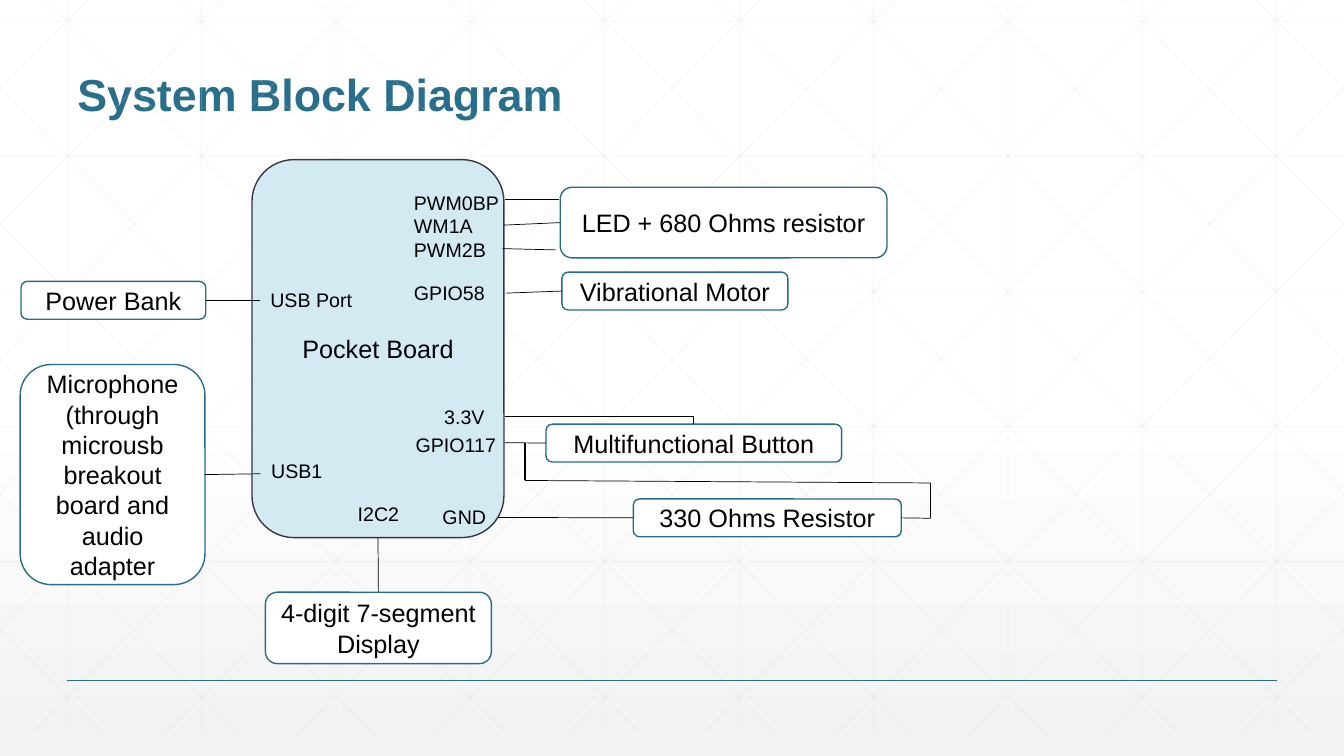
"""Build the system block diagram slide on a grid of 160 columns by 90 rows."""
import dataclasses
import typing

import pptx
import pptx.dml.color
import pptx.enum.shapes
import pptx.enum.text
import pptx.oxml.ns
import pptx.oxml.xmlchemy
import pptx.util
import lxml.etree

COLS, ROWS = 160, 90
CELL = pptx.util.Inches(1 / 12)
TOP, END = -2.5, 87.5
PITCH, RUN = 16, 89.5
FONT = "Arial"
HUES = {
    "teal": "276F8B", "edge": "266D8A", "navy": "373545", "sky": "D4EAF3",
    "white": "FFFFFF", "mist": "F2F2F2", "mesh": "D9D9D9", "black": "000000",
}
ALIGN = pptx.enum.text.PP_ALIGN
ANCHOR = pptx.enum.text.MSO_ANCHOR
KIND = pptx.enum.shapes.MSO_CONNECTOR
Point = tuple[float, float]


@dataclasses.dataclass
class Box:
    key: str
    text: str
    area: tuple[float, float, float, float]
    fill: str = "white"
    edge: str = "edge"


@dataclasses.dataclass
class Pin:
    text: str
    left: float
    top: float
    high: float = 4.1
    mid: bool = False


@dataclasses.dataclass
class Wire:
    start: Point
    end: Point
    width: float = 0.5
    first: typing.Optional[tuple[str, int]] = None
    last: typing.Optional[tuple[str, int]] = None
    bent: bool = False


BOXES = [
    Box("board", "Pocket Board", (30, 19, 30, 45), "sky", "navy"),
    Box("led", "LED + 680 Ohms resistor", (66.7, 22.3, 38.9, 8.4)),
    Box("power", "Power Bank", (2.5, 33.5, 22, 4.5)),
    Box("motor", "Vibrational Motor", (66.9, 32.4, 26.9, 4.5)),
    Box("digits", "4-digit 7-segment Display", (31.6, 70.5, 26.9, 8.5)),
    Box("button", "Multifunctional Button", (65, 50.5, 35.2, 4.5)),
    Box("ohms", "330 Ohms Resistor", (75.4, 59.4, 31.9, 4.5)),
    Box("mic", "Microphone\n(through microusb breakout board and audio adapter",
        (2.4, 43.4, 22, 26.2)),
]

PINS = [
    Pin("USB Port", 31, 33.7),
    Pin("I2C2", 38.8, 59.2, mid=True),
    Pin("PWM0BPWM1A\nPWM2B", 48.1, 22.1, 9.7),
    Pin("GPIO58", 48.1, 32.9),
    Pin("3.3V", 51.7, 47.6),
    Pin("GND", 51.5, 59.5),
    Pin("GPIO117", 48.3, 50.9),
    Pin("USB1", 31.1, 54),
]

WIRES = [
    Wire((31, 35.75), (24.5, 35.75), last=("power", 3)),
    Wire((31, 56.4), (24.4, 56.5), last=("mic", 3)),
    Wire((60.1, 23.75), (66.6, 23.75)),
    Wire((60, 26.8), (66.7, 26.5), last=("led", 1)),
    Wire((59.8, 29.6), (66.2, 29.75)),
    Wire((60.2, 34.9), (66.9, 34.65), last=("motor", 1)),
    Wire((45, 70.5), (45, 64), first=("digits", 0), last=("board", 2)),
    Wire((60.1, 52.7), (65, 52.75), last=("button", 1)),
    Wire((60.1, 49.6), (82.6, 50.5), last=("button", 0), bent=True),
    Wire((59.3, 61.6), (75.4, 61.65), last=("ohms", 1)),
    Wire((62.5, 52.7), (62.5, 57.2), 1),
    Wire((110.8, 57.5), (62.5, 57.2)),
    Wire((110.8, 57.5), (110.8, 61.7), 1),
    Wire((110.8, 61.7), (107.3, 61.65), last=("ohms", 3)),
]


def grid(size: float) -> int:
    return round(size * CELL)


def tint(name: str) -> pptx.dml.color.RGBColor:
    return pptx.dml.color.RGBColor.from_string(HUES[name])


def write(shape, text: str, *, size: float, hue: str = "black", bold: bool = False,
          align=ALIGN.LEFT, anchor=ANCHOR.TOP, space: float = 1.0) -> None:
    frame = shape.text_frame
    frame.text = text
    frame.word_wrap = True
    frame.vertical_anchor = anchor
    for para in frame.paragraphs:
        para.alignment = align
        para.line_spacing = space
        for run in para.runs:
            run.font.name = FONT
            run.font.size = pptx.util.Pt(size)
            run.font.bold = bold
            run.font.color.rgb = tint(hue)


def stroke(slide, start: Point, end: Point, *, hue: str = "black", width: float = 0.5,
           alpha: int = 100, bent: bool = False):
    kind = KIND.ELBOW if bent else KIND.STRAIGHT
    line = slide.shapes.add_connector(kind, *map(grid, start + end))
    line.line.color.rgb = tint(hue)
    line.line.width = pptx.util.Pt(width)
    name = pptx.oxml.ns.qn
    props = line.element.find(name("p:spPr"))
    if bent:
        props.find(name("a:prstGeom")).set("prst", "bentConnector2")
    if alpha < 100:
        color = next(props.iter(name("a:srgbClr")))
        lxml.etree.SubElement(color, name("a:alpha")).set("val", str(alpha * 1000))
    lxml.etree.SubElement(props, name("a:effectLst"))
    return line


def mesh(slide) -> None:
    lines = [((x, TOP), (x, END)) for x in range(8, COLS, PITCH)]
    lines += [((0, 2.5 + 16.08 * row), (COLS, 2.5 + 16.08 * row)) for row in range(6)]
    rate = (END - TOP) / RUN
    for step in range(-5, 10):
        base = 3 + PITCH * step
        left, right = max(base, 0), min(base + RUN, COLS)
        high, low = (TOP + (x - base) * rate for x in (left, right))
        lines.append(((left, high), (right, low)))
        lines.append(((COLS - left, high), (COLS - right, low)))
    for start, end in lines:
        stroke(slide, start, end, hue="mesh", alpha=25)


def shade(slide) -> None:
    fill = slide.background.fill
    fill.gradient()
    fill.gradient_angle = 270
    for stop, (place, hue) in zip(fill.gradient_stops, [(0.53, "white"), (1, "mist")]):
        stop.position = place
        stop.color.rgb = tint(hue)


def block(slide, box: Box):
    form = pptx.enum.shapes.MSO_SHAPE.ROUNDED_RECTANGLE
    shape = slide.shapes.add_shape(form, *map(grid, box.area))
    shape.shadow.inherit = False
    shape.fill.solid()
    shape.fill.fore_color.rgb = tint(box.fill)
    shape.line.color.rgb = tint(box.edge)
    shape.line.width = pptx.util.Pt(1)
    write(shape, box.text, size=18, align=ALIGN.CENTER, anchor=ANCHOR.MIDDLE)
    return shape


def main() -> None:
    deck = pptx.Presentation()
    deck.slide_width, deck.slide_height = grid(COLS), grid(ROWS)
    slide = deck.slides.add_slide(deck.slide_layouts[5])
    shade(slide)
    mesh(slide)
    stroke(slide, (8, 81), (152, 81), hue="teal", width=1)
    title = slide.shapes.title
    title.left, title.top, title.width, title.height = map(grid, (8, 3, 144, 12))
    write(title, "System Block Diagram", size=32, hue="teal", bold=True,
          anchor=ANCHOR.BOTTOM, space=0.9)
    parts = {box.key: block(slide, box) for box in BOXES}
    for pin in PINS:
        label = slide.shapes.add_textbox(*map(grid, (pin.left, pin.top, 12.5, pin.high)))
        write(label, pin.text, size=14, align=ALIGN.CENTER if pin.mid else ALIGN.LEFT)
    for wire in WIRES:
        line = stroke(slide, wire.start, wire.end, width=wire.width, bent=wire.bent)
        if wire.first:
            line.begin_connect(parts[wire.first[0]], wire.first[1])
        if wire.last:
            line.end_connect(parts[wire.last[0]], wire.last[1])
    deck.save("out.pptx")


if __name__ == "__main__":
    main()
